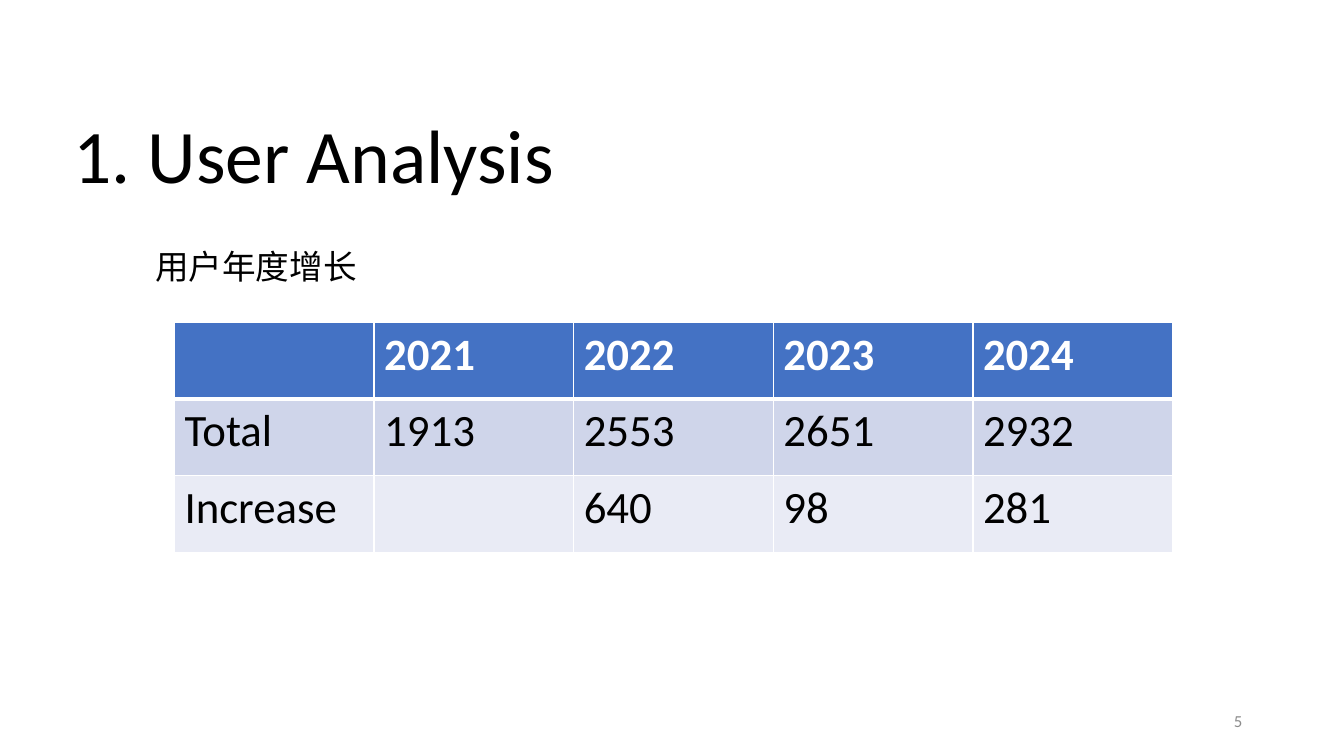
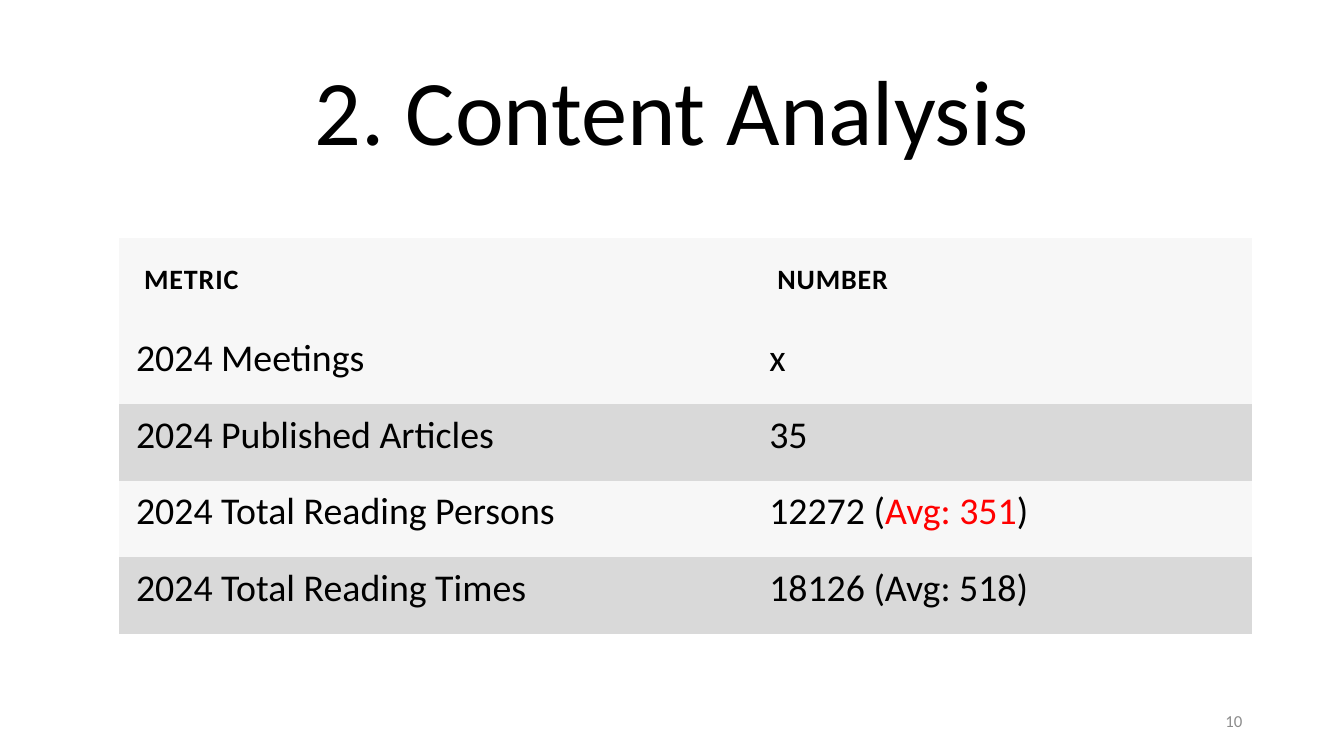
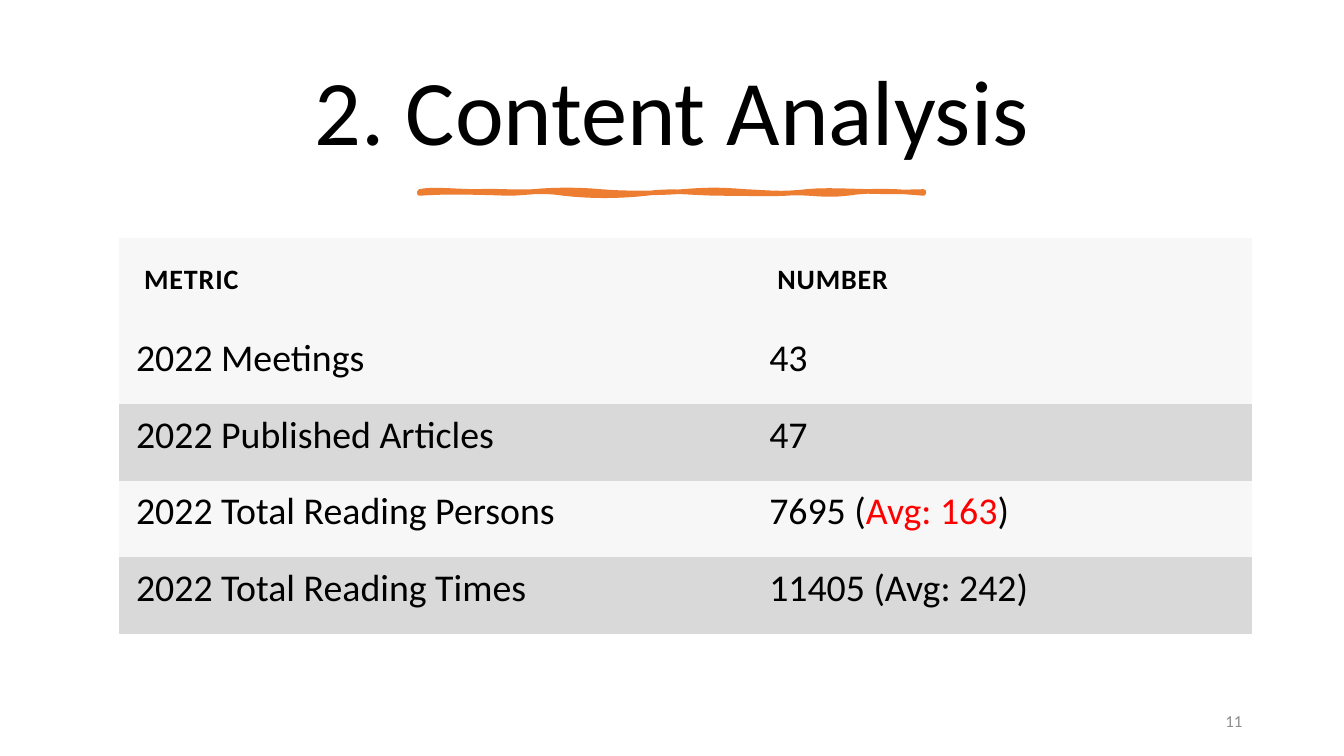
"""Builds three slides of a yearly review: user growth and two content summaries."""
from lxml.etree import SubElement
from pptx import Presentation
from pptx.dml.color import RGBColor
from pptx.enum.text import MSO_ANCHOR, PP_ALIGN
from pptx.oxml import parse_xml
from pptx.oxml.ns import nsdecls, qn
from pptx.util import Pt

PX = 9144
FONT = "Calibri"
COLORS = {
    "text": "000000",
    "white": "FFFFFF",
    "number": "8C8C8C",
    "header": "4472C4",
    "band_dark": "CFD5EA",
    "band_light": "E9EBF5",
    "gray_light": "F7F7F7",
    "gray_dark": "D9D9D9",
    "highlight": "FF0000",
    "accent": "ED7D31",
}
PLAIN_TABLE_STYLE = "{2D5ABB26-0587-4C30-8999-92F81FD0307C}"
BRUSH_START = (416, 190)
BRUSH_CURVES = [
    (428, 187, 454, 190, 473, 190),
    (492, 189, 509, 191, 529, 190),
    (549, 188, 574, 188, 596, 190),
    (617, 192, 653, 192, 677, 190),
    (702, 188, 714, 188, 739, 190),
    (763, 191, 774, 193, 800, 190),
    (826, 187, 867, 192, 916, 190),
    (917, 191, 916, 191, 916, 192),
    (895, 190, 865, 188, 840, 192),
    (815, 195, 801, 190, 779, 192),
    (756, 193, 747, 192, 717, 192),
    (687, 192, 667, 188, 641, 192),
    (614, 195, 585, 195, 559, 192),
    (534, 188, 523, 192, 503, 192),
    (483, 191, 438, 190, 416, 192),
]


def color(name):
    return RGBColor.from_string(COLORS[name])


def format_run(run, size, color_name="text", bold=False):
    font = run.font
    font.name = FONT
    font.size = Pt(size)
    font.bold = bold
    font.color.rgb = color(color_name)


def add_text(slide, box, text, size, color_name="text", align=PP_ALIGN.LEFT,
             anchor=MSO_ANCHOR.TOP, line_spacing=0.9):
    shape = slide.shapes.add_textbox(*(value * PX for value in box))
    frame = shape.text_frame
    frame.word_wrap = True
    frame.vertical_anchor = anchor
    frame.text = text
    paragraph = frame.paragraphs[0]
    paragraph.alignment = align
    paragraph.line_spacing = line_spacing
    format_run(paragraph.runs[0], size, color_name)


def add_slide(presentation, number):
    slide = presentation.slides.add_slide(presentation.slide_layouts[6])
    add_text(slide, (942, 695, 300, 40), str(number), 12, "number",
             PP_ALIGN.RIGHT, MSO_ANCHOR.MIDDLE, 1.0)
    return slide


def add_plain_table(slide, left, top, widths, heights):
    shape = slide.shapes.add_table(
        len(heights), len(widths), left * PX, top * PX,
        sum(widths) * PX, sum(heights) * PX)
    table = shape.table
    table.first_row = False
    table.horz_banding = False
    table._tbl.tblPr.find(qn("a:tableStyleId")).text = PLAIN_TABLE_STYLE
    for column, width in zip(table.columns, widths):
        column.width = width * PX
    for row, height in zip(table.rows, heights):
        row.height = height * PX
    return table


def fill_cell(cell, fill_name, segments, size, color_name="text", bold=False):
    cell.fill.solid()
    cell.fill.fore_color.rgb = color(fill_name)
    paragraph = cell.text_frame.paragraphs[0]
    for index, segment in enumerate(segments):
        run = paragraph.add_run()
        run.text = segment
        format_run(run, size, "highlight" if index % 2 else color_name, bold)


def set_margins(cell, left, top, right, bottom):
    cell.margin_left = left * PX
    cell.margin_top = top * PX
    cell.margin_right = right * PX
    cell.margin_bottom = bottom * PX


def set_borders(cell, top, bottom):
    properties = cell._tc.get_or_add_tcPr()
    sides = (("lnL", 1), ("lnR", 1), ("lnT", top), ("lnB", bottom))
    for index, (side, width) in enumerate(sides):
        properties.insert(index, parse_xml(
            f'<a:{side} {nsdecls("a")} w="{Pt(width)}"><a:solidFill>'
            f'<a:srgbClr val="{COLORS["white"]}"/></a:solidFill></a:{side}>'))


def add_growth_table(slide, rows):
    table = add_plain_table(slide, 173, 320, [198] * 5, [76] * 3)
    fills = ("header", "band_dark", "band_light")
    for row_index, values in enumerate(rows):
        is_header = row_index == 0
        for column_index, value in enumerate(values):
            cell = table.cell(row_index, column_index)
            fill_cell(cell, fills[row_index], [value] if value else [], 32,
                      "white" if is_header else "text", is_header)
            set_borders(cell, 3 if row_index == 1 else 1, 3 if is_header else 1)


def add_metric_table(slide, year, numbers):
    labels = ("Meetings", "Published Articles", "Total Reading Persons",
              "Total Reading Times")
    table = add_plain_table(slide, 118, 236, [628, 496], [89] + [76] * 4)
    for column_index, heading in enumerate(("METRIC", "NUMBER")):
        cell = table.cell(0, column_index)
        fill_cell(cell, "gray_light", [heading], 20, bold=True)
        set_margins(cell, 25, 25, 25, 25)
        run = cell.text_frame.paragraphs[0].runs[0]
        run.font._element.set("spc", "60")
    for row_index, (label, number) in enumerate(zip(labels, numbers), 1):
        fill_name = "gray_light" if row_index % 2 else "gray_dark"
        for column_index, segments in enumerate(([f"{year} {label}"], number)):
            cell = table.cell(row_index, column_index)
            fill_cell(cell, fill_name, segments, 27)
            set_margins(cell, 17, 8, 17, 17)


def curve_points(start, curves, steps=8):
    points = []
    for x1, y1, x2, y2, x3, y3 in curves:
        for step in range(1, steps + 1):
            t = step / steps
            weights = ((1 - t) ** 3, 3 * t * (1 - t) ** 2,
                       3 * t ** 2 * (1 - t), t ** 3)
            points.append(tuple(
                PX * sum(weight * value for weight, value in zip(weights, axis))
                for axis in ((start[0], x1, x2, x3), (start[1], y1, y2, y3))))
        start = (x3, y3)
    return points


def add_brush_stroke(slide):
    builder = slide.shapes.build_freeform(*(value * PX for value in BRUSH_START))
    builder.add_line_segments(curve_points(BRUSH_START, BRUSH_CURVES), close=True)
    shape = builder.convert_to_shape()
    shape.shadow.inherit = False
    shape.fill.solid()
    shape.fill.fore_color.rgb = color("accent")
    shape.line.color.rgb = color("accent")
    shape.line.width = Pt(3.25)
    SubElement(shape.line._get_or_add_ln(), qn("a:round"))


def add_content_slide(presentation, number, year, numbers):
    slide = add_slide(presentation, number)
    add_text(slide, (70, 46, 1193, 137), "2. Content Analysis", 66,
             align=PP_ALIGN.CENTER, anchor=MSO_ANCHOR.MIDDLE)
    add_metric_table(slide, year, numbers)
    return slide


def main():
    presentation = Presentation()
    presentation.slide_width = 1333 * PX
    presentation.slide_height = 750 * PX

    user_slide = add_slide(presentation, 5)
    add_text(user_slide, (63, 95, 504, 108), "1. User Analysis", 54,
             anchor=MSO_ANCHOR.BOTTOM)
    add_text(user_slide, (144, 244, 423, 54), "用户年度增长", 24)
    add_growth_table(user_slide, [
        ("", "2021", "2022", "2023", "2024"),
        ("Total", "1913", "2553", "2651", "2932"),
        ("Increase", "", "640", "98", "281"),
    ])

    add_content_slide(presentation, 10, 2024, [
        ["x"], ["35"], ["12272 (", "Avg: 351", ")"], ["18126 (Avg: 518)"]])
    stroke_slide = add_content_slide(presentation, 11, 2022, [
        ["43"], ["47"], ["7695 (", "Avg: 163", ")"], ["11405 (Avg: 242)"]])
    add_brush_stroke(stroke_slide)

    presentation.save("out.pptx")


if __name__ == "__main__":
    main()
